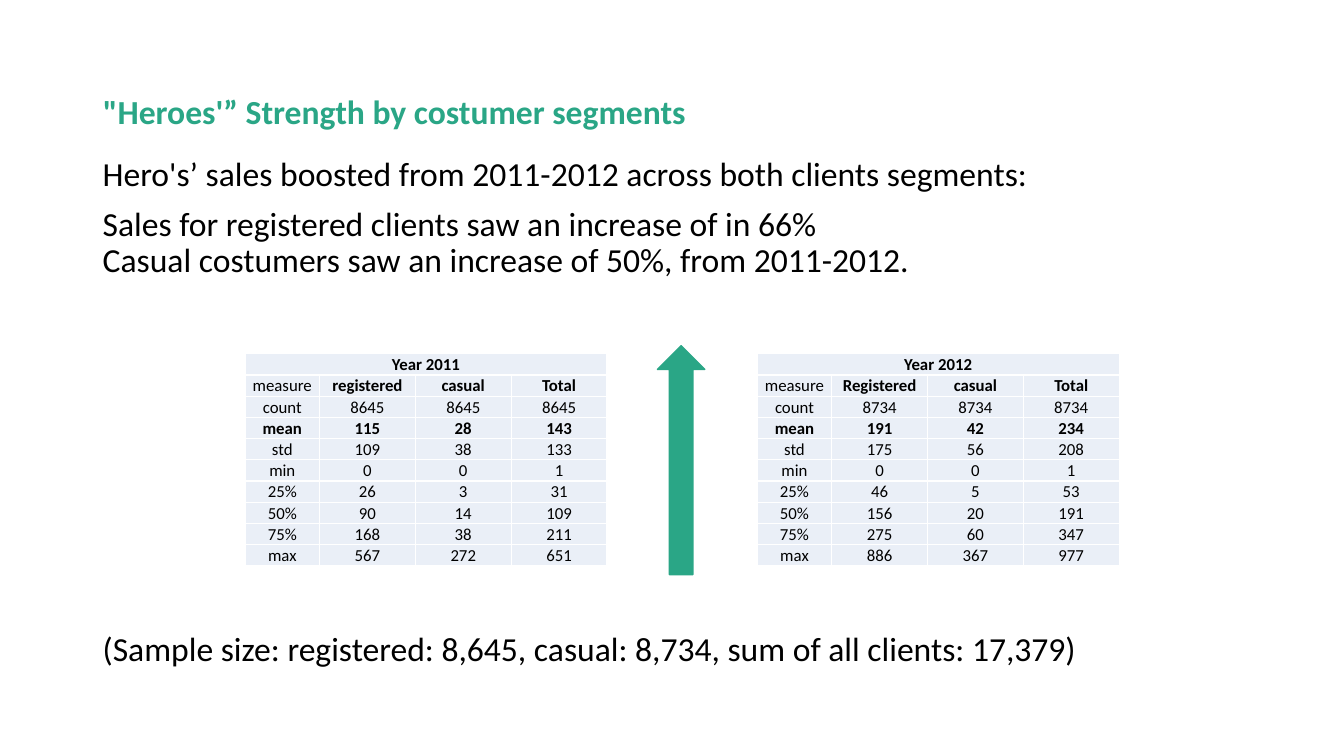
from pptx import Presentation
from pptx.dml.color import RGBColor
from pptx.enum.shapes import MSO_SHAPE
from pptx.enum.text import MSO_ANCHOR, MSO_AUTO_SIZE, PP_ALIGN
from pptx.oxml import parse_xml
from pptx.oxml.ns import nsdecls
from pptx.util import Inches, Pt

GREEN = "2AA686"
BLACK = "000000"
PALE_BLUE = "EAEFF7"
WHITE = "FFFFFF"


def color(hex_value):
    return RGBColor.from_string(hex_value)


def write(para, text, size, hex_value=BLACK, bold=False, **layout):
    para.text = text
    for name, value in layout.items():
        setattr(para, name, value)
    for span in para.runs:
        for name, value in {"name": "Calibri", "size": Pt(size), "bold": bold}.items():
            setattr(span.font, name, value)
        span.font.color.rgb = color(hex_value)


deck = Presentation()
deck.slide_width = Inches(13.33)
deck.slide_height = Inches(7.5)
page = deck.slides.add_slide(deck.slide_layouts[5])

title = page.shapes.title
title_place = {"left": 0.92, "top": 0.4, "width": 11.5, "height": 1.45}
for name, value in title_place.items():
    setattr(title, name, Inches(value))
title.text_frame.auto_size = MSO_AUTO_SIZE.NONE
title.text_frame.vertical_anchor = MSO_ANCHOR.MIDDLE
write(title.text_frame.paragraphs[0], "\"Heroes'” Strength by costumer segments",
      24, GREEN, True, alignment=PP_ALIGN.LEFT, line_spacing=0.9)

findings = [
    ("Hero's’ sales boosted from 2011-2012 across both clients segments:", 10),
    ("Sales for registered clients saw an increase of in 66%\v"
     "Casual costumers saw an increase of 50%, from 2011-2012.", 10),
    ("(Sample size: registered: 8,645, casual: 8,734, sum of all clients: 17,379)", 252),
]
box = page.shapes.add_textbox(Inches(0.92), Inches(1.51), Inches(11.87), Inches(5.43))
box.text_frame.word_wrap = True
for index, (text, gap) in enumerate(findings):
    para = box.text_frame.paragraphs[0] if index == 0 else box.text_frame.add_paragraph()
    write(para, text, 24, line_spacing=0.9, space_before=Pt(gap))

arrow = page.shapes.add_shape(
    MSO_SHAPE.DOWN_ARROW, Inches(6.52), Inches(3.43), Inches(0.47), Inches(2.27))
arrow.rotation = 180
arrow.shadow.inherit = False
arrow.fill.solid()
arrow.fill.fore_color.rgb = color(GREEN)
arrow.line.color.rgb = color(GREEN)
arrow.line.width = Pt(1)

measures = ["measure", "count", "mean", "std", "min", "25%", "50%", "75%", "max"]
years = [
    (2.43, "Year 2011", [
        ["registered", 8645, 115, 109, 0, 26, 90, 168, 567],
        ["casual", 8645, 28, 38, 0, 3, 14, 38, 272],
        ["Total", 8645, 143, 133, 1, 31, 109, 211, 651],
    ]),
    (7.51, "Year 2012", [
        ["Registered", 8734, 191, 175, 0, 46, 156, 275, 886],
        ["casual", 8734, 42, 56, 0, 5, 20, 60, 367],
        ["Total", 8734, 234, 208, 1, 53, 191, 347, 977],
    ]),
]
column_widths = [0.74, 0.95, 0.95, 0.95]
cell_format = {
    "margin_left": Inches(0.01),
    "margin_right": Inches(0.01),
    "margin_top": Inches(0.01),
    "margin_bottom": 0,
    "vertical_anchor": MSO_ANCHOR.MIDDLE,
}

for left, year, segments in years:
    rows = [[year, "", "", ""], *zip(measures, *segments)]
    table = page.shapes.add_table(
        len(rows), len(column_widths), Inches(left), Inches(3.51),
        Inches(sum(column_widths)), Inches(0.21 * len(rows))).table
    for column, width in zip(table.columns, column_widths):
        column.width = Inches(width)
    table.cell(0, 0).merge(table.cell(0, 3))
    for row_index, row in enumerate(rows):
        for column_index, value in enumerate(row):
            cell = table.cell(row_index, column_index)
            for name, setting in cell_format.items():
                setattr(cell, name, setting)
            for side in ("lnL", "lnR", "lnT", "lnB"):
                cell._tc.get_or_add_tcPr().append(parse_xml(
                    f'<a:{side} {nsdecls("a")} w="12700"><a:solidFill>'
                    f'<a:srgbClr val="{WHITE}"/></a:solidFill></a:{side}>'))
            cell.fill.solid()
            cell.fill.fore_color.rgb = color(PALE_BLUE)
            bold = row_index == 0 or row[0] == "mean" or (row_index == 1 and column_index > 0)
            write(cell.text_frame.paragraphs[0], str(value), 12, bold=bold,
                  alignment=PP_ALIGN.CENTER)

deck.save("out.pptx")
